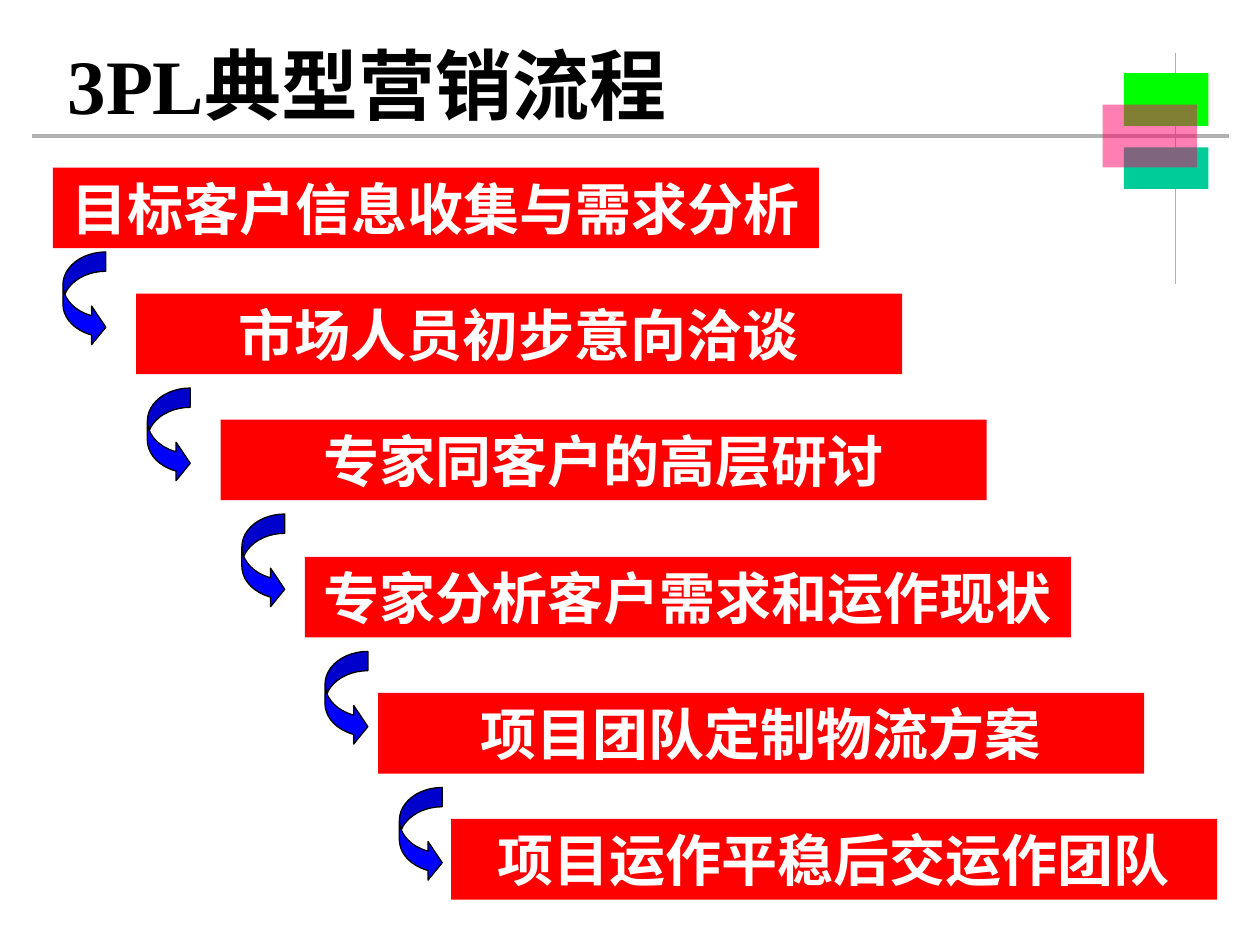
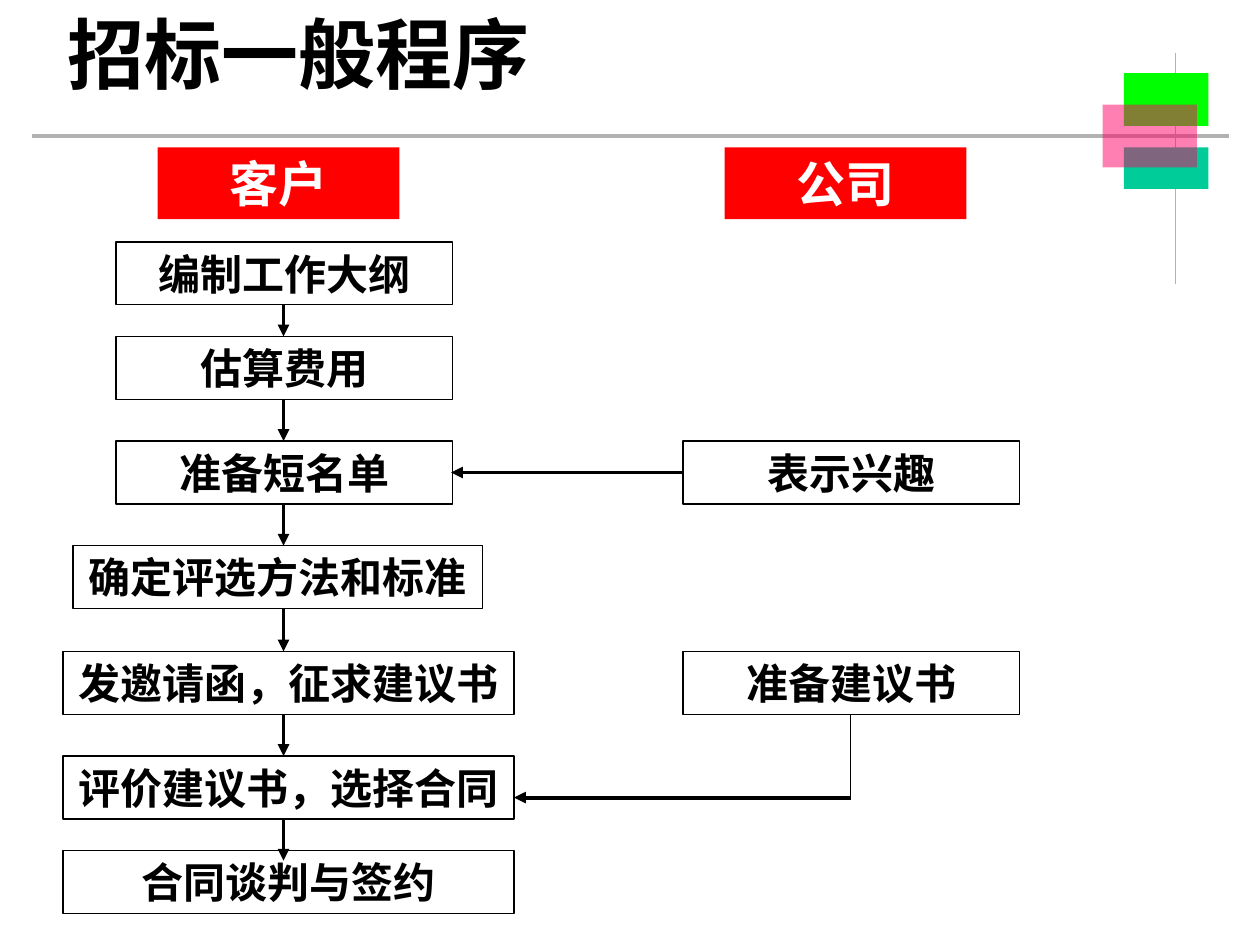
from lxml import etree
from pptx import Presentation
from pptx import util as u
from pptx.dml.color import RGBColor
from pptx.enum import shapes, text
from pptx.oxml.ns import qn

FONT = "Times New Roman"
C = {"red": "FF0000", "blue": "0000FF", "black": "000000", "white": "FFFFFF",
     "gray": "B2B2B2", "green": "00FF00", "teal": "00CC99", "pink": "FF0066"}
RECT = shapes.MSO_SHAPE.RECTANGLE


def box(page, x, y, w, h, words="", size=24, ink="black", fill=None, edge=None, kind=RECT):
    shape = page.shapes.add_shape(kind, u.Inches(x), u.Inches(y), u.Inches(w), u.Inches(h))
    shape.shadow.inherit = False
    for part, tint in ((shape.fill, fill), (shape.line.fill, edge)):
        if tint:
            part.solid()
            part.fore_color.rgb = RGBColor.from_string(C[tint])
        else:
            part.background()
    if edge:
        shape.line.width = u.Pt(0.75)
    if words:
        frame = shape.text_frame
        frame.text = words
        frame.word_wrap = True
        frame.vertical_anchor = text.MSO_ANCHOR.MIDDLE
        para = frame.paragraphs[0]
        para.alignment = text.PP_ALIGN.CENTER
        font = para.runs[0].font
        font.name, font.size, font.bold = FONT, u.Pt(size), True
        font.color.rgb = RGBColor.from_string(C[ink])
    return shape


def line(page, x1, y1, x2, y2, tint="black", width=2.25, head=False):
    rule = page.shapes.add_connector(shapes.MSO_CONNECTOR.STRAIGHT, u.Inches(x1),
                                     u.Inches(y1), u.Inches(x2), u.Inches(y2))
    rule.line.color.rgb = RGBColor.from_string(C[tint])
    rule.line.width = u.Pt(width)
    if head:
        etree.SubElement(rule.line._get_or_add_ln(), qn("a:tailEnd"), type="triangle")
    etree.SubElement(rule._element.spPr, qn("a:effectLst"))


deck = Presentation()
deck.slide_width, deck.slide_height = u.Inches(10), u.Inches(7.5)

pages = []
for title, top, wide in (("3PL典型营销流程", 0.25, 5.17), ("招标一般程序", 0, 4.08)):
    page = deck.slides.add_slide(deck.slide_layouts[6])
    line(page, 0.25, 1.08, 9.75, 1.08, "gray")
    line(page, 9.33, 0.42, 9.33, 2.25, "gray", 0.75)
    box(page, 8.92, 0.58, 0.67, 0.42, fill="green")
    box(page, 8.92, 1.17, 0.67, 0.33, fill="teal")
    veil = box(page, 8.75, 0.83, 0.75, 0.5, fill="pink")
    tone = veil._element.spPr.find(qn("a:solidFill"))[0]
    etree.SubElement(tone, qn("a:alpha"), val="50000")
    box(page, 0.33, top, wide, 0.83, title, 44)
    pages.append(page)
sales, bid = pages

steps = [
    (0.42, 1.33, "目标客户信息收集与需求分析"),
    (1.08, 2.33, "市场人员初步意向洽谈"),
    (1.75, 3.33, "专家同客户的高层研讨"),
    (2.42, 4.42, "专家分析客户需求和运作现状"),
    (3, 5.5, "项目团队定制物流方案"),
    (3.58, 6.5, "项目运作平稳后交运作团队"),
]
for x, y, words in steps:
    box(sales, x, y, 6.08, 0.64, words, 32, "white", "red")
for x, y in ((0.5, 2), (1.17, 3.08), (1.92, 4.08), (2.58, 5.17), (3.17, 6.25)):
    hook = box(sales, x, y, 0.34, 0.75, fill="blue", edge="black",
               kind=shapes.MSO_SHAPE.CURVED_RIGHT_ARROW)
    for i, part in enumerate((0.45, 0.9, 0.33)):
        hook.adjustments[i] = part

for x, words in ((1.25, "客户"), (5.75, "公司")):
    box(bid, x, 1.17, 1.92, 0.57, words, 28, "white", "red")

tall = 0.5
tasks = [
    (0.92, 1.92, 2.67, "编制工作大纲"),
    (0.92, 2.67, 2.67, "估算费用"),
    (0.92, 3.5, 2.67, "准备短名单"),
    (0.58, 4.33, 3.25, "确定评选方法和标准"),
    (0.5, 5.17, 3.58, "发邀请函，征求建议书"),
    (0.5, 6, 3.58, "评价建议书，选择合同"),
    (0.5, 6.75, 3.58, "合同谈判与签约"),
]
replies = [(5.42, 3.5, 2.67, "表示兴趣"), (5.42, 5.17, 2.67, "准备建议书")]
for x, y, w, words in tasks + replies:
    box(bid, x, y, w, tall, words, edge="black")

ends = [task[1] for task in tasks[1:-1]] + [6.83]
for task, end in zip(tasks, ends):
    line(bid, 2.25, task[1] + tall, 2.25, end, head=True)
line(bid, 5.42, 3.75, 3.58, 3.75, head=True)
line(bid, 6.75, 6.33, 4.08, 6.33, head=True)
line(bid, 6.75, 5.67, 6.75, 6.33, width=0.75)

deck.save("out.pptx")
